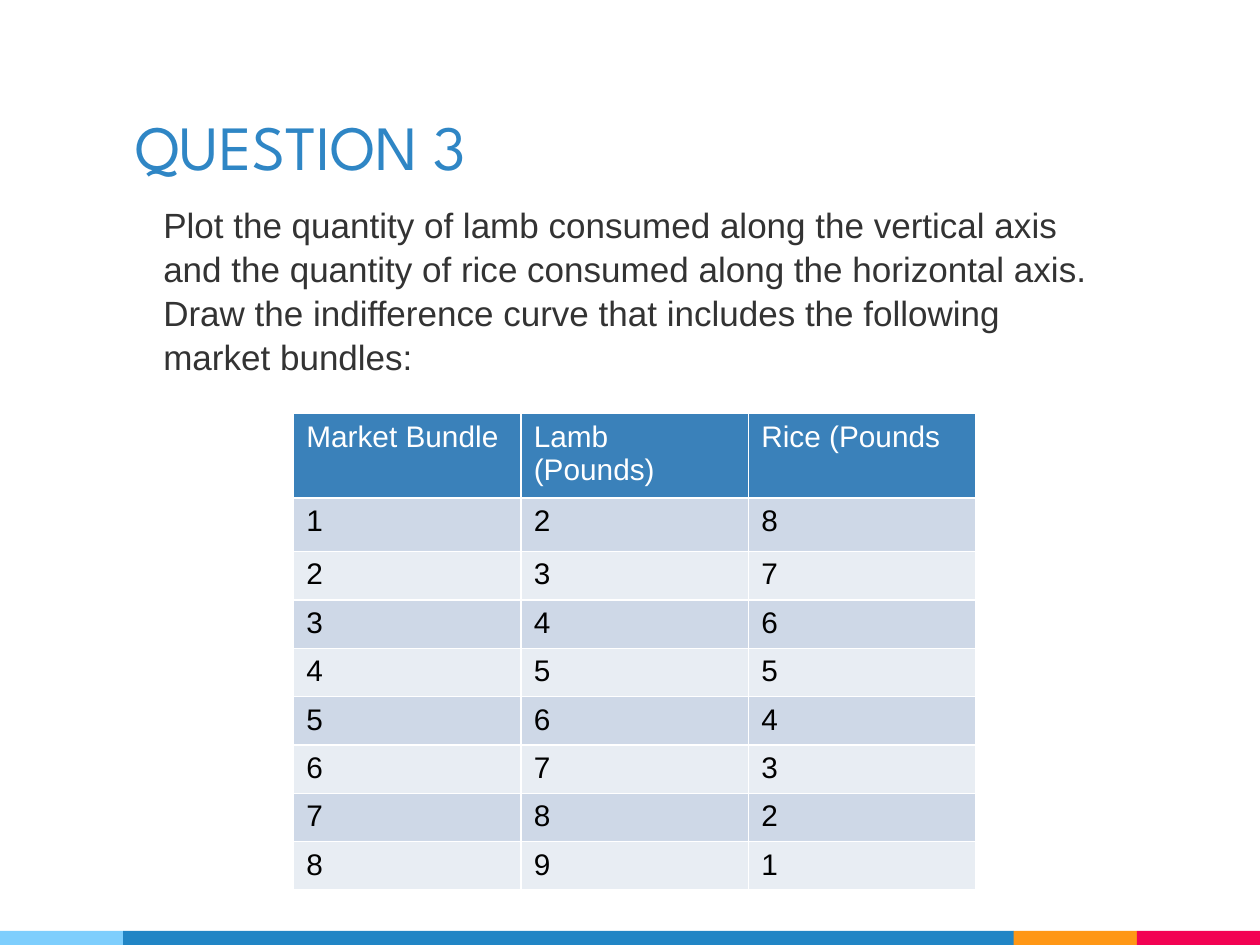
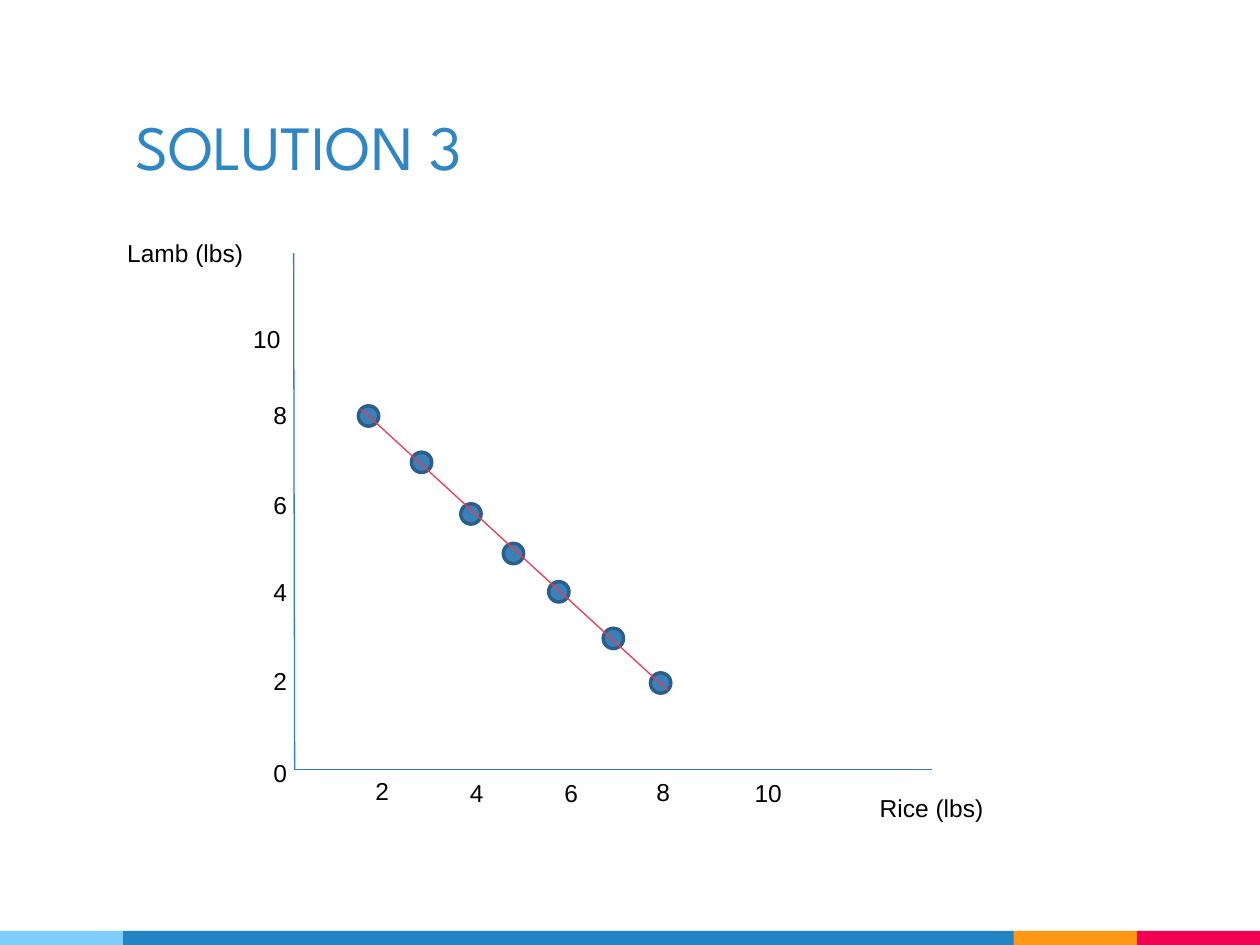
import pptx
import pptx.util
import pptx.dml.color
import pptx.enum.shapes
import pptx.enum.text
import pptx.oxml
import pptx.oxml.ns
import lxml.etree

Pt = pptx.util.Pt
SHAPES = pptx.enum.shapes.MSO_SHAPE

# Shared look
BODY_FONT = "Arial"
TITLE_BOX = (70.4, 21.6, 509, 90)
TITLE = {"name": "League Spartan", "size": Pt(36), "color": "2F86C5"}
PROMPT = {"name": BODY_FONT, "size": Pt(20), "color": "333333"}
LABEL = {"name": BODY_FONT, "size": Pt(14), "color": "000000"}
HEAD_CELL = {"name": BODY_FONT, "size": Pt(17), "color": "FFFFFF"}
BODY_CELL = {**HEAD_CELL, "color": "000000"}
BAND_BOX = (0, 531.9, 720, 8.1)
BANDS = [("7ECEFD", 70.4), ("2185C5", 508.9), ("FF9715", 70.4), ("F20253", 70.3)]
ACCENT = "3A81BA"
STRIPES = ("E8EDF3", "CED8E7")
AXIS, CURVE, DOT_EDGE = "367EB9", "ED3A53", "2B5F8A"


def rgb(code):
    return pptx.dml.color.RGBColor.from_string(code)


def points(*lengths):
    return [Pt(length) for length in lengths]


def write(frame, text, style, spacing=None):
    para = frame.paragraphs[0]
    if spacing:
        para.line_spacing = spacing
    span = para.add_run()
    span.text = text
    for name, value in style.items():
        if name == "color":
            span.font.color.rgb = rgb(value)
        else:
            setattr(span.font, name, value)


def add_text(page, box, text, style, spacing=None, **frame_format):
    frame = page.shapes.add_textbox(*points(*box)).text_frame
    frame.word_wrap = True
    for name, value in frame_format.items():
        setattr(frame, name, value)
    write(frame, text, style, spacing)


def add_shape(page, kind, box, fill, edge=None, edge_width=0):
    shape = page.shapes.add_shape(kind, *points(*box))
    shape.shadow.inherit = False
    shape.fill.solid()
    shape.fill.fore_color.rgb = rgb(fill)
    if edge:
        shape.line.color.rgb = rgb(edge)
        shape.line.width = Pt(edge_width)
    else:
        shape.line.fill.background()


def add_line(page, start, end, color):
    line = page.shapes.add_connector(
        pptx.enum.shapes.MSO_CONNECTOR.STRAIGHT, *points(*start, *end))
    line.line.color.rgb = rgb(color)
    line.line.width = Pt(0.75)
    lxml.etree.SubElement(line._element.spPr, pptx.oxml.ns.qn("a:effectLst"))


def add_bands(page, box):
    left, top, _, height = box
    for color, width in BANDS:
        add_shape(page, SHAPES.RECTANGLE, (left, top, width, height), color)
        left += width


def add_page(deck, title):
    page = deck.slides.add_slide(deck.slide_layouts[6])
    add_bands(page, BAND_BOX)
    add_text(page, TITLE_BOX, title, TITLE, margin_top=Pt(7.2), margin_bottom=Pt(7.2),
             vertical_anchor=pptx.enum.text.MSO_ANCHOR.BOTTOM)
    return page


def border_cell(cell):
    properties = cell._tc.get_or_add_tcPr()
    for side in ("lnL", "lnR", "lnT", "lnB"):
        properties.append(pptx.oxml.parse_xml(
            f'<a:{side} {pptx.oxml.ns.nsdecls("a")} w="12700">'
            f'<a:solidFill><a:srgbClr val="FFFFFF"/></a:solidFill></a:{side}>'))


def add_bundle_table(page, box):
    headings = ["Market Bundle", "Lamb (Pounds)", "Rice (Pounds"]
    # Each bundle trades one pound of rice for one pound of lamb
    rows = [headings] + [(bundle, bundle + 1, 9 - bundle) for bundle in range(1, 9)]
    heights = [44.6, 30.7] + [26.65] * 7
    table = page.shapes.add_table(len(rows), len(headings), *points(*box)).table
    for column in table.columns:
        column.width = Pt(box[2] / len(headings))
    for index, (values, height) in enumerate(zip(rows, heights)):
        table.rows[index].height = Pt(height)
        for cell, value in zip(table.rows[index].cells, values):
            border_cell(cell)
            cell.fill.solid()
            cell.fill.fore_color.rgb = rgb(STRIPES[index % 2] if index else ACCENT)
            write(cell.text_frame, str(value), BODY_CELL if index else HEAD_CELL)


def add_plot(page, box):
    left, top, width, height = box
    right, bottom = left + width, top + height

    # Axes and their names
    origin = (left + 0.6, bottom)
    add_line(page, (left, top), origin, AXIS)
    add_line(page, (right, bottom), origin, AXIS)
    add_text(page, (left - 102.2, top - 12.2, 102.2, 24.5), "Lamb (lbs)", LABEL)
    add_text(page, (right - 36.7, bottom + 10, 102.2, 24.5), "Rice (lbs)", LABEL)

    # Tick labels, placed by hand beside each axis
    lamb_tops = [285.1, 232.6, 181.4, 131.8, 80.6, 36.7]
    rice_spots = [(39.6, 0), (93.6, 1), (147.6, 1.3), (200.2, 0.7), (256.3, 1)]
    for step, drop in enumerate(lamb_tops):
        wide = 30.2 if step == 5 else 18.7
        add_text(page, (left - wide, top + drop, wide, 24.5), str(2 * step), LABEL)
    for step, (shift, drop) in enumerate(rice_spots, 1):
        wide = 30.2 if step == 5 else 18.7
        add_text(page, (left + shift, bottom + drop, wide, 24.5), str(2 * step), LABEL)

    # Bundles and the indifference curve through them
    dot = 11.6
    centers = [(209.7, 245.6), (182.7, 220.1), (151.5, 193.5), (125.6, 171.6),
               (101.3, 149), (73.1, 119.5), (42.8, 93)]
    for across, down in centers:
        add_shape(page, SHAPES.OVAL,
                  (left + across - dot / 2, top + down - dot / 2, dot, dot),
                  ACCENT, DOT_EDGE, 2)
    add_line(page, (left + 38.8, top + 89.3), (left + 213.8, top + 249.8), CURVE)


def build_question(deck):
    page = add_page(deck, "QUESTION 3")
    add_bundle_table(page, (167.8, 236.4, 390, 262))
    add_text(page, (86.2, 111.6, 553, 104.4),
             "Plot the quantity of lamb consumed along the vertical axis and the quantity of "
             "rice consumed along the horizontal axis. Draw the indifference curve that "
             "includes the following market bundles:", PROMPT, spacing=1.05)


def build_solution(deck):
    page = add_page(deck, "SOLUTION 3")
    add_plot(page, (167.8, 144.7, 364.5, 295.2))


def main():
    deck = pptx.Presentation()
    deck.slide_width, deck.slide_height = points(720, 540)
    build_question(deck)
    build_solution(deck)
    deck.save("out.pptx")


if __name__ == "__main__":
    main()
